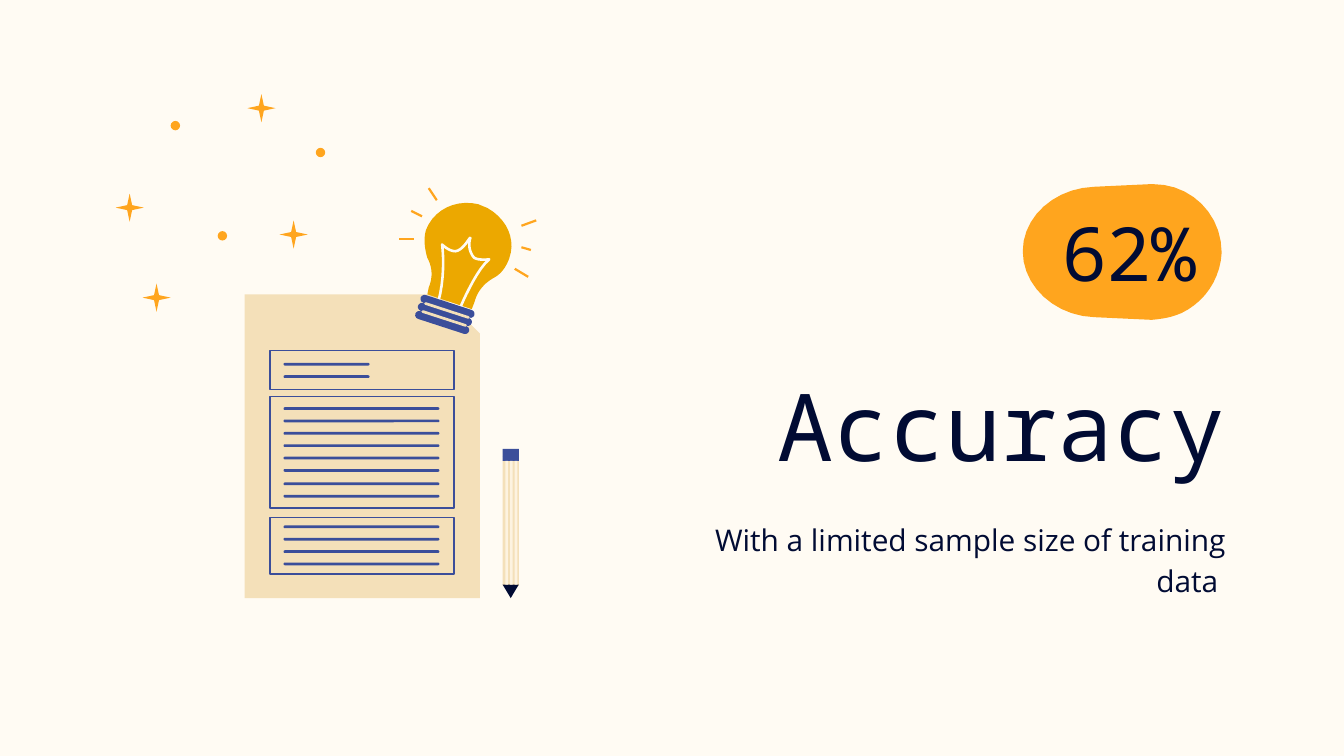
from pptx import Presentation, util as u
from pptx.dml.color import RGBColor
from pptx.enum import shapes, text
from pptx.oxml import parse_xml
from pptx.oxml.ns import nsdecls

# Colours and fonts
CREAM = RGBColor(0xFF, 0xFB, 0xF3)
NAVY = RGBColor(0x01, 0x0B, 0x33)
ORANGE = RGBColor(0xFF, 0xA5, 0x1E)
GOLD = RGBColor(0xEC, 0xA8, 0x00)
BLUE = RGBColor(0x3B, 0x4E, 0x9A)
SAND = RGBColor(0xF4, 0xE0, 0xB9)
PALE = RGBColor(0xFD, 0xF3, 0xE0)
MONO, SANS = "Noto Sans Mono", "Open Sans"

# Content
HEADING = "Accuracy"
FIGURE = "62%"
DETAIL = "With a limited sample size of training data "

# Illustration, in inches
WIDTH = 10
HEIGHT = WIDTH * 9 / 16
STARS = [(2.08, 1.64), (0.86, 1.44), (1.06, 2.11), (1.84, 0.7)]
DOTS = [(1.27, 0.9), (1.62, 1.72), (2.35, 1.1)]
PANELS = [(2.61, 0.29), (2.95, 0.83), (3.85, 0.42)]  # top, height
RULES = [(2.7, 2, 0.64), (3.03, 6, 1.16), (3.59, 2, 1.16), (3.91, 4, 1.16)]  # top, count, width
RULE_PITCH = 0.46 / 5
RAYS = [((3.88, 1.68), (3.99, 1.64)), ((3.88, 1.84), (3.95, 1.86)),
        ((3.83, 2.0), (3.93, 2.06)), ((3.19, 1.4), (3.25, 1.49)),
        ((3.06, 1.57), (3.14, 1.61)), ((2.97, 1.78), (3.08, 1.78))]

# Outlines: a start point, then lines (x, y) or cubic curves (six numbers)
BADGE = [(8.58, 1.37), (8.86, 1.37, 9.09, 1.59, 9.09, 1.88),
         (9.08, 2.08, 8.96, 2.25, 8.79, 2.33), (8.74, 2.35, 8.69, 2.37, 8.57, 2.38),
         (8.14, 2.36), (7.85, 2.35, 7.61, 2.13, 7.61, 1.87),
         (7.61, 1.61, 7.85, 1.4, 8.14, 1.39), (8.56, 1.37)]
GLASS = [(3.63, 1.55), (3.61, 1.54, 3.58, 1.53, 3.56, 1.52),
         (3.39, 1.48, 3.23, 1.56, 3.17, 1.71), (3.15, 1.78, 3.16, 1.85, 3.18, 1.92),
         (3.22, 1.99, 3.22, 2.07, 3.19, 2.14), (3.18, 2.19), (3.51, 2.3), (3.53, 2.25),
         (3.55, 2.17, 3.6, 2.11, 3.67, 2.07), (3.73, 2.04, 3.77, 1.98, 3.79, 1.92),
         (3.84, 1.78, 3.77, 1.63, 3.63, 1.55)]
FILAMENT = [(3.26, 2.25), (3.32, 2.04, 3.29, 1.82, 3.29, 1.82),
            (3.31, 1.84, 3.35, 1.87, 3.39, 1.87), (3.45, 1.86, 3.49, 1.77, 3.5, 1.77),
            (3.48, 1.83, 3.5, 1.89, 3.53, 1.92), (3.57, 1.94, 3.64, 1.93, 3.64, 1.93),
            (3.54, 2.01, 3.42, 2.3, 3.42, 2.3)]

prs = Presentation()
prs.slide_width, prs.slide_height = u.Inches(WIDTH), u.Inches(HEIGHT)
slide = prs.slides.add_slide(prs.slide_layouts[5])
slide.background.fill.solid()
slide.background.fill.fore_color.rgb = CREAM
PRESET = shapes.MSO_SHAPE


def paint(part, fill=None, line=None, weight=0.75):
    part.shadow.inherit = False
    if fill is None:
        part.fill.background()
    else:
        part.fill.solid()
        part.fill.fore_color.rgb = fill
    if line is None:
        part.line.fill.background()
    else:
        part.line.color.rgb = line
        part.line.width = u.Pt(weight)
    return part


def place(preset, left, top, width, height, fill=None, line=None, adj=None, turn=0):
    part = slide.shapes.add_shape(preset, *map(u.Inches, (left, top, width, height)))
    if adj is not None:
        part.adjustments[0] = adj
    part.rotation = turn
    return paint(part, fill, line)


def flatten(outline, steps=10):
    points = [outline[0]]
    for segment in outline[1:]:
        if len(segment) == 2:
            points.append(segment)
            continue
        x0, y0 = points[-1]
        x1, y1, x2, y2, x3, y3 = segment
        for i in range(1, steps + 1):
            t = i / steps
            a, b, c, d = (1 - t) ** 3, 3 * t * (1 - t) ** 2, 3 * t * t * (1 - t), t ** 3
            points.append((a * x0 + b * x1 + c * x2 + d * x3,
                           a * y0 + b * y1 + c * y2 + d * y3))
    return [(u.Inches(x), u.Inches(y)) for x, y in points]


def trace(outline, close=True, **look):
    points = flatten(outline)
    builder = slide.shapes.build_freeform(*points[0])
    builder.add_line_segments(points[1:], close=close)
    return paint(builder.convert_to_shape(), **look)


def write(box, words, frame, size, font, anchor, spacing=1.0):
    box.left, box.top, box.width, box.height = map(u.Inches, frame)
    body = box.text_frame
    body.text = words
    body.word_wrap = True
    body.auto_size = text.MSO_AUTO_SIZE.NONE
    body.vertical_anchor = anchor
    body.margin_left = body.margin_right = body.margin_top = body.margin_bottom = u.Inches(0.1)
    line = body.paragraphs[0]
    line.alignment = text.PP_ALIGN.RIGHT
    line.line_spacing = spacing
    style = line.runs[0].font
    style.size, style.name, style.color.rgb = u.Pt(size), font, NAVY


# Badge and text
trace(BADGE, fill=ORANGE)
ANCHOR = text.MSO_ANCHOR
write(slide.shapes.title, HEADING, (4.93, 2.71, 4.29, 0.96), 50, MONO, ANCHOR.BOTTOM)
for words, frame, size, font, anchor, spacing in [
        (FIGURE, (7.71, 1.52, 1.29, 0.71), 40, MONO, ANCHOR.MIDDLE, 1.0),
        (DETAIL, (4.93, 3.74, 4.29, 0.51), 16, SANS, ANCHOR.TOP, 1.15)]:
    box = slide.shapes.add_textbox(0, 0, 0, 0)
    write(box, words, frame, size, font, anchor, spacing)

# Sparkles
for left, top in STARS:
    place(PRESET.STAR_4_POINT, left, top, 0.21, 0.21, ORANGE, adj=0.125)
for left, top in DOTS:
    place(PRESET.OVAL, left, top, 0.07, 0.07, ORANGE)

# Sheet of paper
place(PRESET.SNIP_1_RECTANGLE, 1.82, 2.19, 1.75, 2.26, SAND, adj=1 / 6)
for top, count, width in RULES:
    for row in range(count):
        place(PRESET.ROUNDED_RECTANGLE, 2.11, top + row * RULE_PITCH, width, 0.02, BLUE, adj=0.5)
for top, height in PANELS:
    place(PRESET.RECTANGLE, 2.01, top, 1.37, height, line=BLUE)

# Light bulb
trace(GLASS, fill=GOLD)
trace(FILAMENT, close=False, line=CREAM, weight=1.4)
for colour, count, left, top, width, height in [(BLUE, 3, 3.12, 2.25, 0.42, 0.06),
                                                (SAND, 2, 3.15, 2.3, 0.35, 0.02)]:
    for i in range(count):
        place(PRESET.ROUNDED_RECTANGLE, left - 0.02 * i, top + 0.06 * i, width, height,
              colour, adj=0.5, turn=18)
for start, end in RAYS:
    ray = slide.shapes.add_connector(shapes.MSO_CONNECTOR.STRAIGHT,
                                     *map(u.Inches, start + end))
    ray.line.color.rgb = ORANGE
    ray.line.width = u.Pt(1.2)
    ray._element.spPr.append(parse_xml(f"<a:effectLst {nsdecls('a')}/>"))

# Pencil
for top, height, colour in [(3.43, 0.93, SAND), (3.4, 0.03, BLUE), (3.34, 0.06, BLUE)]:
    place(PRESET.RECTANGLE, 3.74, top, 0.12, height, colour)
place(PRESET.ISOSCELES_TRIANGLE, 3.74, 4.35, 0.12, 0.1, NAVY, turn=180)
for stripe in range(3):
    place(PRESET.RECTANGLE, 3.76 + stripe * 0.07 / 2, 3.43, 0.02, 0.92, PALE)

prs.save("out.pptx")
